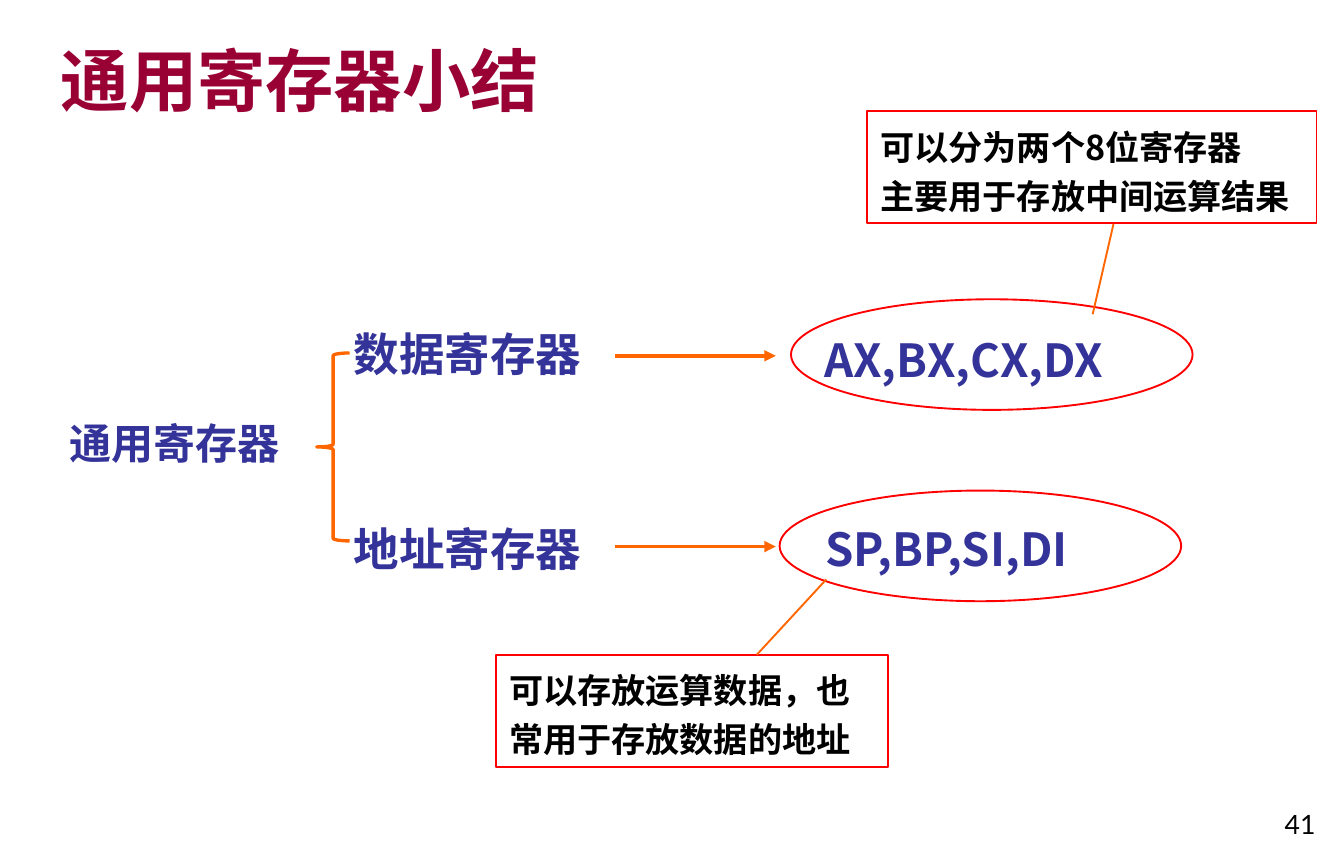
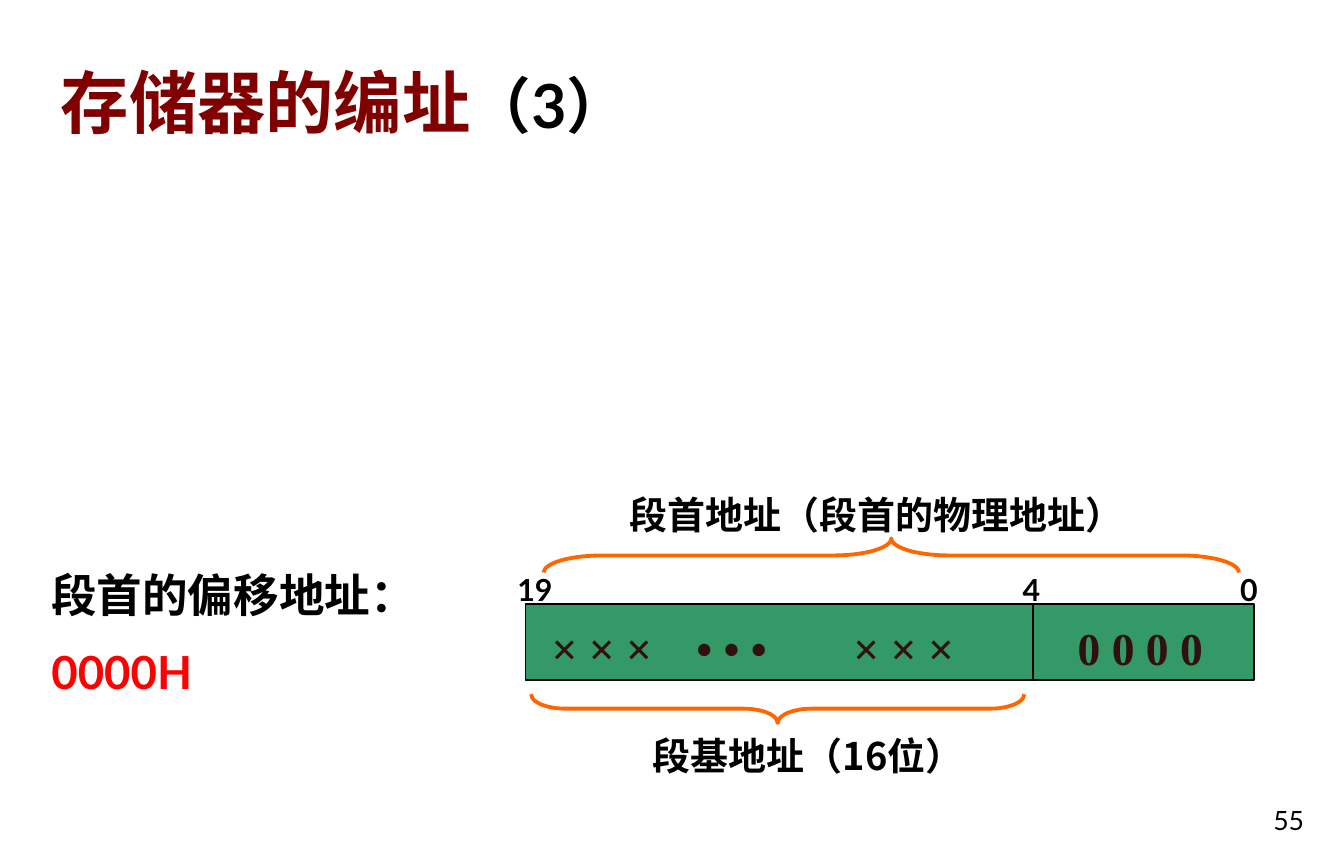
from dataclasses import dataclass

import lxml.etree
import pptx
import pptx.dml.color
import pptx.enum.lang
import pptx.enum.shapes
import pptx.enum.text
import pptx.oxml
import pptx.oxml.ns
import pptx.util

Pt = pptx.util.Pt
SHAPE = pptx.enum.shapes.MSO_SHAPE
ALIGN = pptx.enum.text.PP_ALIGN
ANCHOR = pptx.enum.text.MSO_ANCHOR


@dataclass(frozen=True)
class Theme:
    sans: str = "Lato"
    cjk: str = "Noto Sans CJK SC"
    serif: str = "Times New Roman"
    crimson: str = "990033"
    maroon: str = "800000"
    navy: str = "333399"
    orange: str = "FF6600"
    red: str = "FF0000"
    green: str = "339966"
    digit: str = "301010"
    black: str = "000000"
    white: str = "FFFFFF"
    title: float = 36
    title_part: float = 32
    body: float = 24
    root: float = 22.2
    caption: float = 20
    note: float = 18
    bit: float = 16
    number: float = 14


T = Theme()


def rgb(value):
    return pptx.dml.color.RGBColor.from_string(value)


def format_run(r, size, font, color, bold):
    r.font.size = Pt(size)
    r.font.name = font
    r.font.bold = bold
    r.font.color.rgb = rgb(color)
    r.font.language_id = pptx.enum.lang.MSO_LANGUAGE_ID.SIMPLIFIED_CHINESE
    ea = lxml.etree.SubElement(r.font._element, pptx.oxml.ns.qn("a:ea"))
    ea.set("typeface", T.cjk if font == T.sans else font)


def write(sp, *paragraphs, align=ALIGN.LEFT, anchor=ANCHOR.TOP, leading=1.0,
          before=0, **look):
    """Fill a shape; a paragraph is a list of (text, format overrides) runs."""
    base = dict(size=T.body, font=T.cjk, color=T.black, bold=True) | look
    tf = sp.text_frame
    tf.word_wrap = True
    tf.vertical_anchor = anchor
    for i, runs in enumerate(paragraphs):
        p = tf.add_paragraph() if i else tf.paragraphs[0]
        p.alignment = align
        p.line_spacing = leading
        p.space_before = Pt(before)
        for content, changes in runs:
            r = p.add_run()
            r.text = content
            format_run(r, **(base | changes))


def text(slide, box, content, **look):
    """Add a text box; content is a string or a list of paragraphs."""
    paragraphs = [[(content, {})]] if isinstance(content, str) else content
    sp = slide.shapes.add_textbox(*map(Pt, box))
    write(sp, *paragraphs, **look)


def shape(slide, kind, box, line, width=1, fill=None):
    sp = slide.shapes.add_shape(kind, *map(Pt, box))
    sp.shadow.inherit = False
    sp.line.color.rgb = rgb(line)
    sp.line.width = Pt(width)
    if fill:
        sp.fill.solid()
        sp.fill.fore_color.rgb = rgb(fill)
    else:
        sp.fill.background()
    return sp


def line(slide, start, end, width=1, arrow=False):
    c = slide.shapes.add_connector(
        pptx.enum.shapes.MSO_CONNECTOR.STRAIGHT, *map(Pt, start + end))
    c.line.color.rgb = rgb(T.orange)
    c.line.width = Pt(width)
    if arrow:
        tail = lxml.etree.SubElement(c.line._get_or_add_ln(),
                                     pptx.oxml.ns.qn("a:tailEnd"))
        tail.set("type", "triangle")
    lxml.etree.SubElement(c._element.spPr, pptx.oxml.ns.qn("a:effectLst"))


def brace(slide, box, curve, rotation=0, width=2.0):
    """Draw a brace that covers box after its quarter-turn rotation."""
    x, y, w, h = box
    if rotation:
        x, y, w, h = x + (w - h) / 2, y + (h - w) / 2, h, w
    sp = shape(slide, SHAPE.LEFT_BRACE, (x, y, w, h), T.orange, width)
    sp.adjustments[0] = curve
    sp.rotation = rotation


def callout(slide, box, *lines):
    sp = shape(slide, SHAPE.RECTANGLE, box, T.red, fill=T.white)
    write(sp, *[[(content, {})] for content in lines], size=T.note, leading=1.2)


def title(slide, bottom, *runs):
    text(slide, (25, bottom - 60, 604, 60), [runs], size=T.title, font=T.sans,
         anchor=ANCHOR.BOTTOM)


def slide_number(slide, left, top, number):
    text(slide, (left, top, 44.6, 30.2), number, size=T.number, font=T.sans,
         bold=False, align=ALIGN.RIGHT, anchor=ANCHOR.BOTTOM)


def registers_slide(slide):
    title(slide, 67, ("通用寄存器小结", {"color": T.crimson}))
    text(slide, (3, 214, 178, 36), "通用寄存器", size=T.root, color=T.navy,
         align=ALIGN.CENTER, anchor=ANCHOR.MIDDLE, leading=1.1)
    brace(slide, (167, 186, 17.3, 99), 0.08, width=1.75)

    rows = [
        ("数据寄存器", 162.7, 187.5, "AX,BX,CX,DX", (399, 165.6, 218, 45),
         (417, 157.7)),
        ("地址寄存器", 265, 288, "SP,BP,SI,DI", (405.4, 265, 187, 45),
         (411, 258.5)),
    ]
    for group, top, arrow_y, names, names_box, oval in rows:
        text(slide, (179.3, top, 195, 45), group, color=T.navy, leading=1.2)
        text(slide, names_box, names, color=T.navy, leading=1.2,
             align=ALIGN.CENTER)
        line(slide, (324, arrow_y), (409, arrow_y), width=2, arrow=True)
        shape(slide, SHAPE.OVAL, oval + (211.7, 58.3), T.red)

    callout(slide, (457, 58.5, 237, 59), "可以分为两个8位寄存器",
            "主要用于存放中间运算结果")
    line(slide, (587, 118), (576, 165.6))
    callout(slide, (261.3, 345, 206.7, 59),
            "可以存放运算数据，也常用于存放数据的地址")
    line(slide, (399, 345), (435.6, 305.3))
    slide_number(slide, 656, 416, "41")


def addressing_slide(slide):
    title(slide, 78.5, ("存储器的编址", {"color": T.maroon}),
          ("（3）", {"size": T.title_part}))
    text(slide, (20, 295.2, 240, 77),
         [[("段首的偏移地址：", {})],
          [("0000H", {"font": T.sans, "color": T.red})]], before=12)

    left, split, right = 277, 544.5, 661
    for start, end in ((left, split), (split, right)):
        shape(slide, SHAPE.RECTANGLE, (start, 318.2, end - start, 40.3),
              T.black, fill=T.green)
    for x, width, bits in ((283.7, 80, "× × ×"), (360, 80, "• • •"),
                           (442.8, 106, "× × ×"), (561, 88.5, "0 0 0 0")):
        text(slide, (x, 323.3, width, 36), bits, font=T.serif, color=T.digit)
    for x, width, bit in ((265.7, 44.6, "19"), (532, 28, "4"),
                          (646.6, 28, "0")):
        text(slide, (x, 297.4, width, 26.6), bit, size=T.bit, font=T.sans)

    text(slide, (324.7, 255.6, 310, 31.7), "段首地址（段首的物理地址）",
         size=T.caption)
    brace(slide, (286.6, 283.7, 366.5, 18), 1.7, rotation=90)
    text(slide, (337, 382.3, 212.4, 31.7), "段基地址（16位）", size=T.caption)
    brace(slide, (280, 365.8, 260, 15.2), 1.19, rotation=270)
    slide_number(slide, 650, 414, "55")


def main():
    prs = pptx.Presentation()
    prs.slide_width, prs.slide_height = Pt(708.5), Pt(450)
    for build in (registers_slide, addressing_slide):
        build(prs.slides.add_slide(prs.slide_layouts[6]))
    prs.save("out.pptx")


if __name__ == "__main__":
    main()
